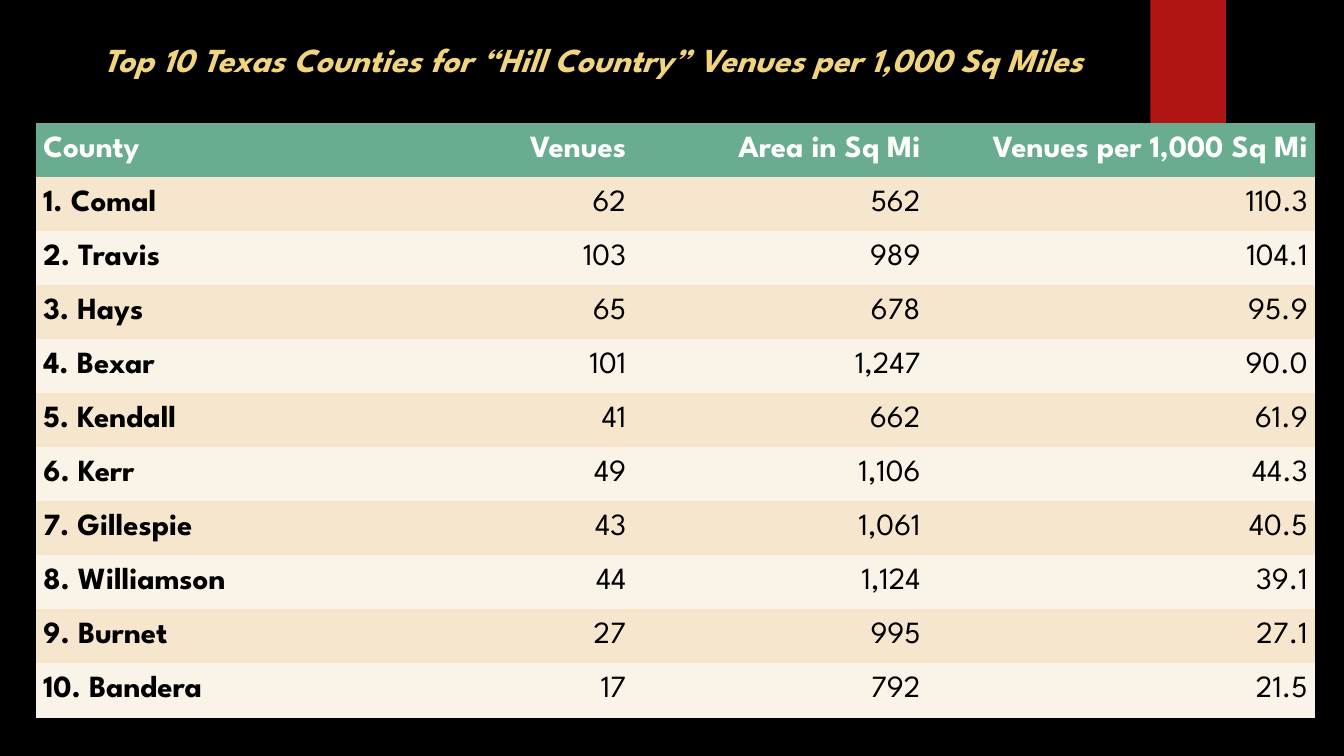
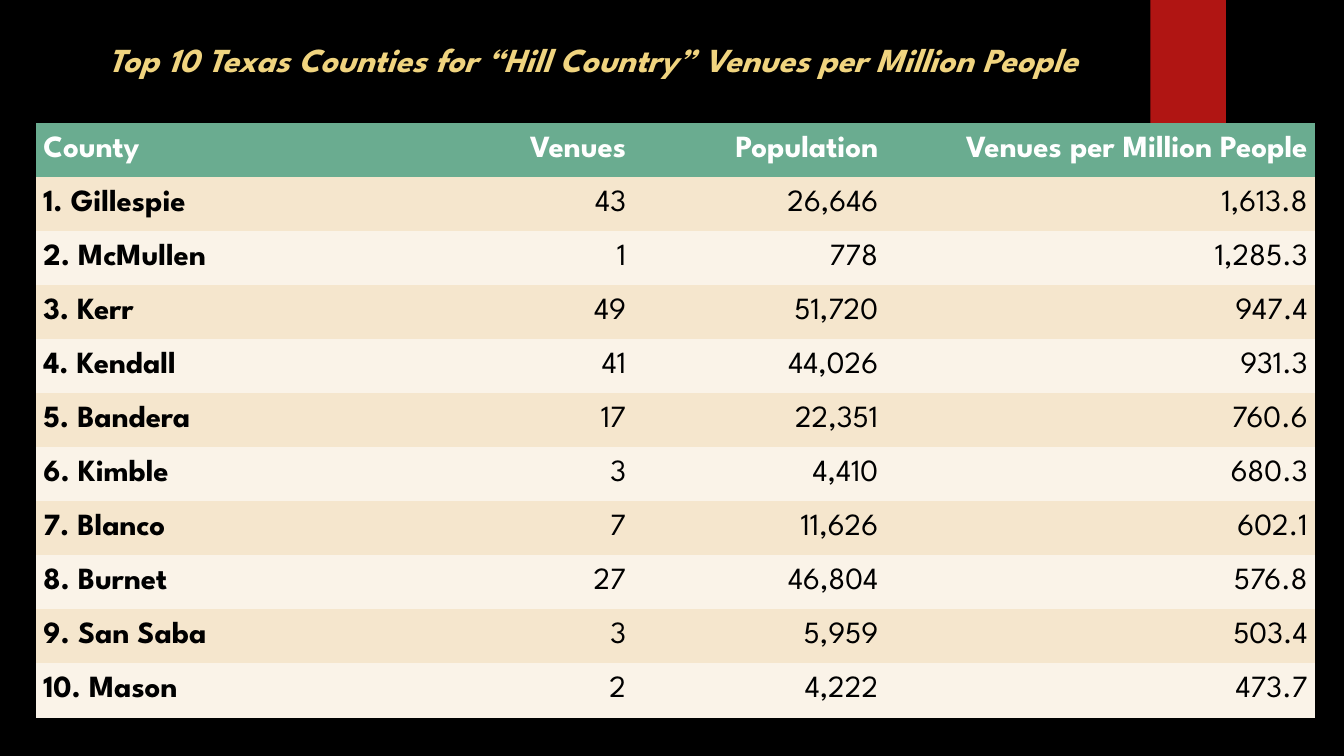
from pptx import Presentation
from pptx.dml.color import RGBColor
from pptx.enum.shapes import MSO_SHAPE as Shape
from pptx.enum.text import MSO_ANCHOR as Anchor, PP_ALIGN as Align
from pptx.oxml.ns import qn
from pptx.util import Inches, Pt

WIDTH, HEIGHT = 13.33, 7.5
FONT = "League Spartan"
BLACK, WHITE, GOLD, RED = "000000", "FFFFFF", "F0D47F", "B01513"
HEADER, BANDS = "6AAC90", ("F5E6CD", "FAF3E8")
NO_STYLE = "{2D5ABB26-0587-4C30-8999-92F81FD0307C}"

MARKER_BOX = (11.41, 0, 0.75, 1.25)
TITLE_BOX = (0.36, 0, 11.04, 1.18)
TABLE_BOX = (0.36, 1.22, 12.68, 5.9)

AREA = {
    "title": "Top 10 Texas Counties for “Hill Country” Venues per 1,000 Sq Miles",
    "columns": (2.54, 3.38, 2.92, 3.84),
    "header": ("County", "Venues", "Area in Sq Mi", "Venues per 1,000 Sq Mi"),
    "counties": (
        ("Comal", "62", "562", "110.3"),
        ("Travis", "103", "989", "104.1"),
        ("Hays", "65", "678", "95.9"),
        ("Bexar", "101", "1,247", "90.0"),
        ("Kendall", "41", "662", "61.9"),
        ("Kerr", "49", "1,106", "44.3"),
        ("Gillespie", "43", "1,061", "40.5"),
        ("Williamson", "44", "1,124", "39.1"),
        ("Burnet", "27", "995", "27.1"),
        ("Bandera", "17", "792", "21.5"),
    ),
}
POPULATION = {
    "title": "Top 10 Texas Counties for “Hill Country” Venues per Million People",
    "columns": (2.54, 3.38, 2.5, 4.26),
    "header": ("County", "Venues", "Population", "Venues per Million People"),
    "counties": (
        ("Gillespie", "43", "26,646", "1,613.8"),
        ("McMullen", "1", "778", "1,285.3"),
        ("Kerr", "49", "51,720", "947.4"),
        ("Kendall", "41", "44,026", "931.3"),
        ("Bandera", "17", "22,351", "760.6"),
        ("Kimble", "3", "4,410", "680.3"),
        ("Blanco", "7", "11,626", "602.1"),
        ("Burnet", "27", "46,804", "576.8"),
        ("San Saba", "3", "5,959", "503.4"),
        ("Mason", "2", "4,222", "473.7"),
    ),
}


def paint(fill, color):
    """Make a fill solid in a hex colour."""
    fill.solid()
    fill.fore_color.rgb = RGBColor.from_string(color)


def write(tf, text, size, color, align, bold=True, italic=False):
    """Put one styled paragraph into a text frame."""
    p = tf.paragraphs[0]
    p.text = text
    p.alignment = align
    font = p.font
    font.name, font.size, font.bold, font.italic = FONT, Pt(size), bold, italic
    font.color.rgb = RGBColor.from_string(color)


def add_marker(s, box):
    """Draw the red tab that hangs from the top edge."""
    sp = s.shapes.add_shape(Shape.RECTANGLE, *map(Inches, box))
    sp.shadow.inherit = False
    paint(sp.fill, RED)
    sp.line.fill.background()


def add_title(s, box, text):
    """Write the centred slide title."""
    tf = s.shapes.add_textbox(*map(Inches, box)).text_frame
    tf.word_wrap = True
    tf.vertical_anchor = Anchor.MIDDLE
    write(tf, text, 24, GOLD, Align.CENTER, italic=True)


def fill_cell(cell, text, fill, color, first, bold):
    """Style one table cell, aligned by its column."""
    paint(cell.fill, fill)
    cell.vertical_anchor = Anchor.MIDDLE
    cell.margin_left = cell.margin_right = Inches(0.07)
    cell.margin_top = cell.margin_bottom = 0
    align = Align.LEFT if first else Align.RIGHT
    write(cell.text_frame, text, 22, color, align, bold)


def add_ranking(s, box, columns, header, counties):
    """Build the banded table of ranked counties."""
    ranked = [(f"{rank}. {name}", *values)
              for rank, (name, *values) in enumerate(counties, 1)]
    rows = [header, *ranked]
    frame = s.shapes.add_table(len(rows), len(header), *map(Inches, box))
    frame.element.find(".//" + qn("a:tableStyleId")).text = NO_STYLE
    table = frame.table
    for column, share in zip(table.columns, columns):
        column.width = Inches(box[2] * share / sum(columns))
    for i, row in enumerate(rows):
        table.rows[i].height = Inches(box[3] / len(rows))
        fill, color = (BANDS[(i - 1) % 2], BLACK) if i else (HEADER, WHITE)
        for j, text in enumerate(row):
            fill_cell(table.cell(i, j), text, fill, color, j == 0, i == 0 or j == 0)


def add_ranking_slide(prs, title, columns, header, counties):
    """Add a black slide with marker, title and ranking."""
    s = prs.slides.add_slide(prs.slide_layouts[6])
    paint(s.background.fill, BLACK)
    add_marker(s, MARKER_BOX)
    add_title(s, TITLE_BOX, title)
    add_ranking(s, TABLE_BOX, columns, header, counties)


def main():
    """Build and save the presentation."""
    prs = Presentation()
    prs.slide_width, prs.slide_height = Inches(WIDTH), Inches(HEIGHT)
    for ranking in (AREA, POPULATION):
        add_ranking_slide(prs, **ranking)
    prs.save("out.pptx")


if __name__ == "__main__":
    main()
